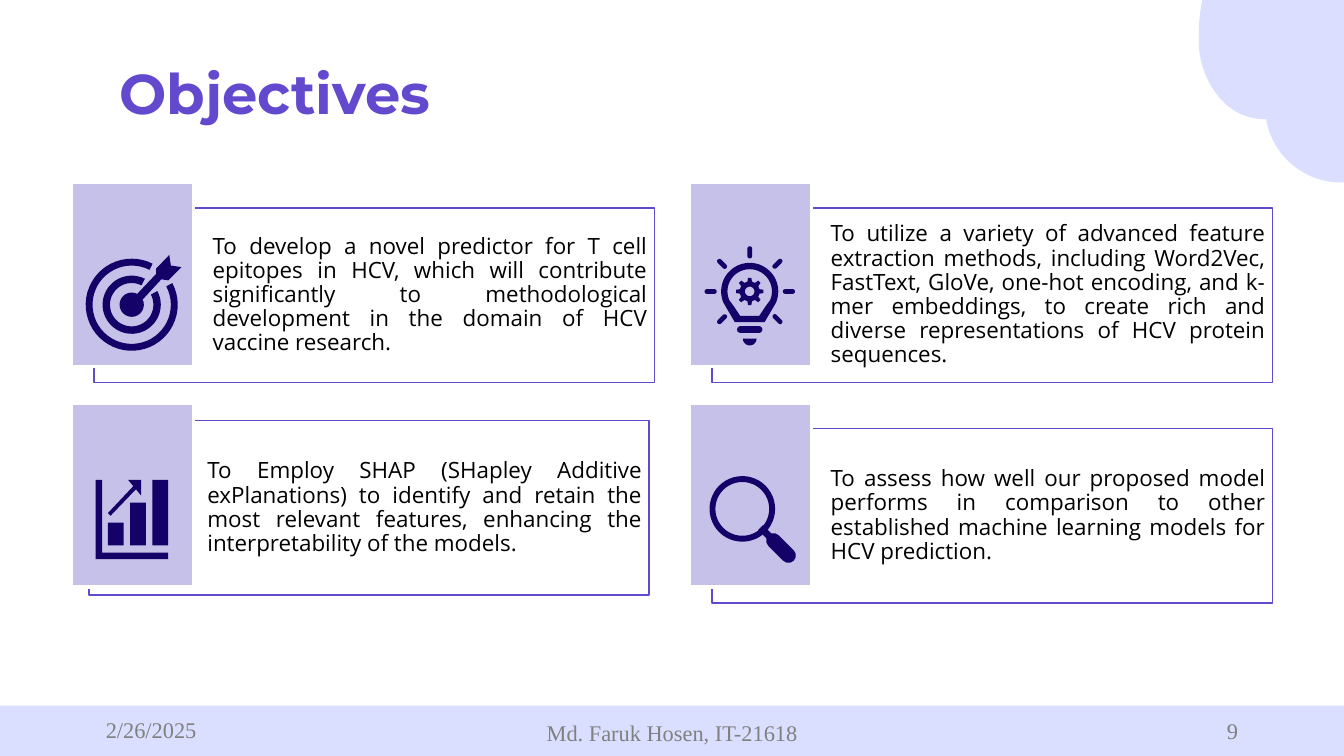
from math import cos, radians, sin

from pptx import Presentation
from pptx.dml.color import RGBColor
from pptx.enum.shapes import MSO_SHAPE as SHAPE
from pptx.enum.text import MSO_ANCHOR as ANCHOR, PP_ALIGN as ALIGN
from pptx.util import Cm, Pt

WHITE = RGBColor(0xFF, 0xFF, 0xFF)
BLACK = RGBColor(0x00, 0x00, 0x00)
GREY = RGBColor(0x80, 0x80, 0x80)
PURPLE = RGBColor(0x62, 0x49, 0xCE)
LILAC = RGBColor(0xC5, 0xC1, 0xE8)
NAVY = RGBColor(0x15, 0x02, 0x68)
PALE = RGBColor(0xDB, 0xDE, 0xFF)
BAND = RGBColor(0xDB, 0xDF, 0xFF)


# Helpers: all coordinates are in centimetres
def paint(sp, fill, line=None, width=0.75):
    sp.shadow.inherit = False
    sp.fill.solid()
    sp.fill.fore_color.rgb = fill
    if line is None:
        sp.line.fill.background()
    else:
        sp.line.color.rgb = line
        sp.line.width = Pt(width)


def add_box(slide, kind, x, y, w, h, fill, line=None, width=0.75):
    sp = slide.shapes.add_shape(kind, Cm(x), Cm(y), Cm(w), Cm(h))
    paint(sp, fill, line, width)
    return sp


def add_bar(slide, cx, cy, w, h, angle=0, roundness=0.5):
    sp = add_box(slide, SHAPE.ROUNDED_RECTANGLE, cx - w / 2, cy - h / 2, w, h, NAVY)
    sp.adjustments[0] = roundness
    sp.rotation = angle


def add_outline(slide, x, y, *contours, fill=NAVY):
    """Draw closed contours, offset by (x, y); a second contour is a hole."""
    rings = [[(Cm(x + px), Cm(y + py)) for px, py in c] for c in contours]
    builder = slide.shapes.build_freeform(*rings[0][0], scale=1.0)
    for i, ring in enumerate(rings):
        if i:
            builder.move_to(*ring[0])
        builder.add_line_segments(ring[1:], close=True)
    paint(builder.convert_to_shape(), fill)


def arc(r, start=0, end=360, steps=48):
    angles = [radians(start + (end - start) * i / steps) for i in range(steps + 1)]
    return [(r * cos(a), r * sin(a)) for a in angles]


def curve(p0, p1, p2, p3, steps=16):
    points = []
    for i in range(steps):
        t = i / steps
        weights = ((1 - t) ** 3, 3 * t * (1 - t) ** 2, 3 * t * t * (1 - t), t ** 3)
        points.append(tuple(sum(k * p[axis] for k, p in zip(weights, (p0, p1, p2, p3)))
                            for axis in (0, 1)))
    return points


def write(sp, text, font, color, align, anchor, insets):
    tf = sp.text_frame
    tf.word_wrap = True
    tf.vertical_anchor = anchor
    tf.margin_left, tf.margin_top, tf.margin_right, tf.margin_bottom = map(Cm, insets)
    p = tf.paragraphs[0]
    p.text = text
    p.alignment = align
    p.font.name = font
    p.font.size = Pt(12)
    p.font.color.rgb = color
    return p


# Icons: (x, y) is the corner of the tile
def target_icon(slide, x, y):
    cx, cy = x + 1.14, y + 2.31
    for outer, inner in ((0.87, 0.74), (0.55, 0.41)):
        add_outline(slide, cx, cy, arc(outer, -28, 297) + arc(inner, 297, -28))
    add_box(slide, SHAPE.OVAL, cx - 0.23, cy - 0.23, 0.46, 0.46, NAVY)
    add_outline(slide, x, y, [(1.88, 1.57), (1.85, 1.37), (1.6, 1.63), (1.6, 1.73),
                              (1.24, 2.11), (1.35, 2.21), (1.7, 1.83),
                              (1.83, 1.85), (2.08, 1.6)])


def bulb_icon(slide, x, y):
    cx, cy = x + 1.14, y + 2.06
    glass = arc(0.54, 157, 383) + [(0.41, 0.36), (0.28, 0.58), (-0.28, 0.58), (-0.41, 0.36)]
    inside = arc(0.42, 157, 383) + [(0.3, 0.28), (0.18, 0.46), (-0.18, 0.46), (-0.3, 0.28)]
    add_outline(slide, cx, cy, glass, inside)
    # Gear with eight teeth
    gear = []
    for tooth in range(0, 360, 45):
        for r, turn in ((0.19, -13), (0.26, -7), (0.26, 7), (0.19, 13)):
            gear += arc(r, tooth + turn, tooth + turn, 1)[:1]
    add_outline(slide, cx, cy, gear, arc(0.09))
    # Rays and socket
    for angle in range(135, 406, 45):
        a = radians(angle)
        add_bar(slide, cx + 0.74 * cos(a), cy + 0.74 * sin(a), 0.23, 0.09, angle % 360)
    add_bar(slide, cx, cy + 0.72, 0.48, 0.13)
    add_outline(slide, cx, cy + 0.89, arc(0.13, 0, 180))


def chart_icon(slide, x, y):
    add_outline(slide, x, y, [(0.46, 1.45), (0.58, 1.45), (0.58, 2.83), (1.83, 2.83),
                              (1.83, 2.95), (0.46, 2.95)])
    for i, height in enumerate((0.43, 0.81, 1.24)):
        add_box(slide, SHAPE.RECTANGLE, x + 0.69 + 0.42 * i, y + 2.69 - height,
                0.3, height, NAVY)
    add_outline(slide, x, y, [(1.32, 1.75), (1.32, 1.45), (1.07, 1.45), (1.17, 1.57),
                              (0.69, 2.08), (0.74, 2.13), (1.22, 1.63)])


def lens_icon(slide, x, y):
    ring = add_box(slide, SHAPE.DONUT, x + 0.38, y + 1.38, 1.24, 1.24, NAVY)
    ring.adjustments[0] = 0.09
    add_bar(slide, x + 1.45, y + 2.46, 0.3, 0.13, 45, 0)
    add_bar(slide, x + 1.73, y + 2.74, 0.68, 0.28, 45)


# Regions
def add_corner(slide, x, y):
    add_box(slide, SHAPE.OVAL, x + 1.28, y + 0.58, 2.87, 2.87, PALE)
    nodes = [(1.65, -1.09), (1.37, -1.12), (1.09, -1.12), (0.84, -1.02),
             (0.63, -0.94), (0.51, -0.86), (0.36, -0.66),
             (0.1, -0.3), (0, 0.28), (0.03, 0.91),
             (0.08, 1.55), (0.56, 2.31), (1.35, 2.25),
             (2.13, 2.18), (3.1, 2.03), (3.38, 1.63),
             (3.94, 0.81), (3.15, -0.51), (2.64, -0.79),
             (2.31, -0.94), (1.98, -1.02), (1.65, -1.09)]
    blob = []
    for i in range(0, len(nodes) - 1, 3):
        blob += curve(*nodes[i:i + 4])
    add_outline(slide, x, y, blob, fill=PALE)


def add_title(slide, x, y, w, h):
    title = slide.shapes.title
    title.left, title.top, title.width, title.height = Cm(x), Cm(y), Cm(w), Cm(h)
    p = write(title, "Objectives", "Montserrat", PURPLE, ALIGN.LEFT, ANCHOR.TOP, [0.25] * 4)
    p.font.size = Pt(30)
    p.font.bold = True


def add_card(slide, x, y, dx, dy, text, draw_icon):
    frame = add_box(slide, SHAPE.RECTANGLE, x + dx, y + dy, 10.59, 3.3, WHITE, PURPLE)
    p = write(frame, text, "Open Sans", BLACK, ALIGN.JUSTIFY, ANCHOR.MIDDLE,
              (2.24, 0.13, 0.13, 0.13))
    p.line_spacing = 0.9
    add_box(slide, SHAPE.RECTANGLE, x, y, 2.31, 3.48, LILAC, WHITE, 2)
    draw_icon(slide, x, y)


def add_footer(slide, x, y, w, h):
    add_box(slide, SHAPE.RECTANGLE, x, y, w, h, BAND)
    for left, top, width, height, text, align in (
            (1.75, 0.08, 5.72, 0.76, "2/26/2025", ALIGN.LEFT),
            (8.41, 0.08, 8.59, 0.86, "Md. Faruk Hosen, IT-21618", ALIGN.CENTER),
            (17.93, 0, 5.72, 0.95, "9", ALIGN.RIGHT)):
        s = slide.shapes.add_textbox(Cm(x + left), Cm(y + top), Cm(width), Cm(height))
        write(s, text, "Times New Roman", GREY, align, ANCHOR.MIDDLE,
              (0.25, 0.13, 0.25, 0.13))


def main():
    prs = Presentation()
    prs.slide_width, prs.slide_height = Cm(25.4), Cm(14.29)
    slide = prs.slides.add_slide(prs.slide_layouts[5])
    add_corner(slide, 22.63, 0)
    add_title(slide, 2.01, 0.86, 21.41, 1.6)
    cards = [
        (0.43, 0.48, "To develop a novel predictor for T cell epitopes in HCV, which will "
         "contribute significantly to methodological development in the domain of HCV "
         "vaccine research.", target_icon),
        (0.43, 0.48, "To utilize a variety of advanced feature extraction methods, including "
         "Word2Vec, FastText, GloVe, one-hot encoding, and k-mer embeddings, to create rich "
         "and diverse representations of HCV protein sequences.", bulb_icon),
        (0.33, 0.33, "To Employ SHAP (SHapley Additive exPlanations) to identify and retain "
         "the most relevant features, enhancing the interpretability of the models.",
         chart_icon),
        (0.43, 0.48, "To assess how well our proposed model performs in comparison to other "
         "established machine learning models for HCV prediction.", lens_icon),
    ]
    for i, card in enumerate(cards):
        row, col = divmod(i, 2)
        add_card(slide, 1.35 + 11.68 * col, 3.45 + 4.17 * row, *card)
    add_footer(slide, 0, 13.34, 25.4, 0.95)
    prs.save("out.pptx")


if __name__ == "__main__":
    main()
